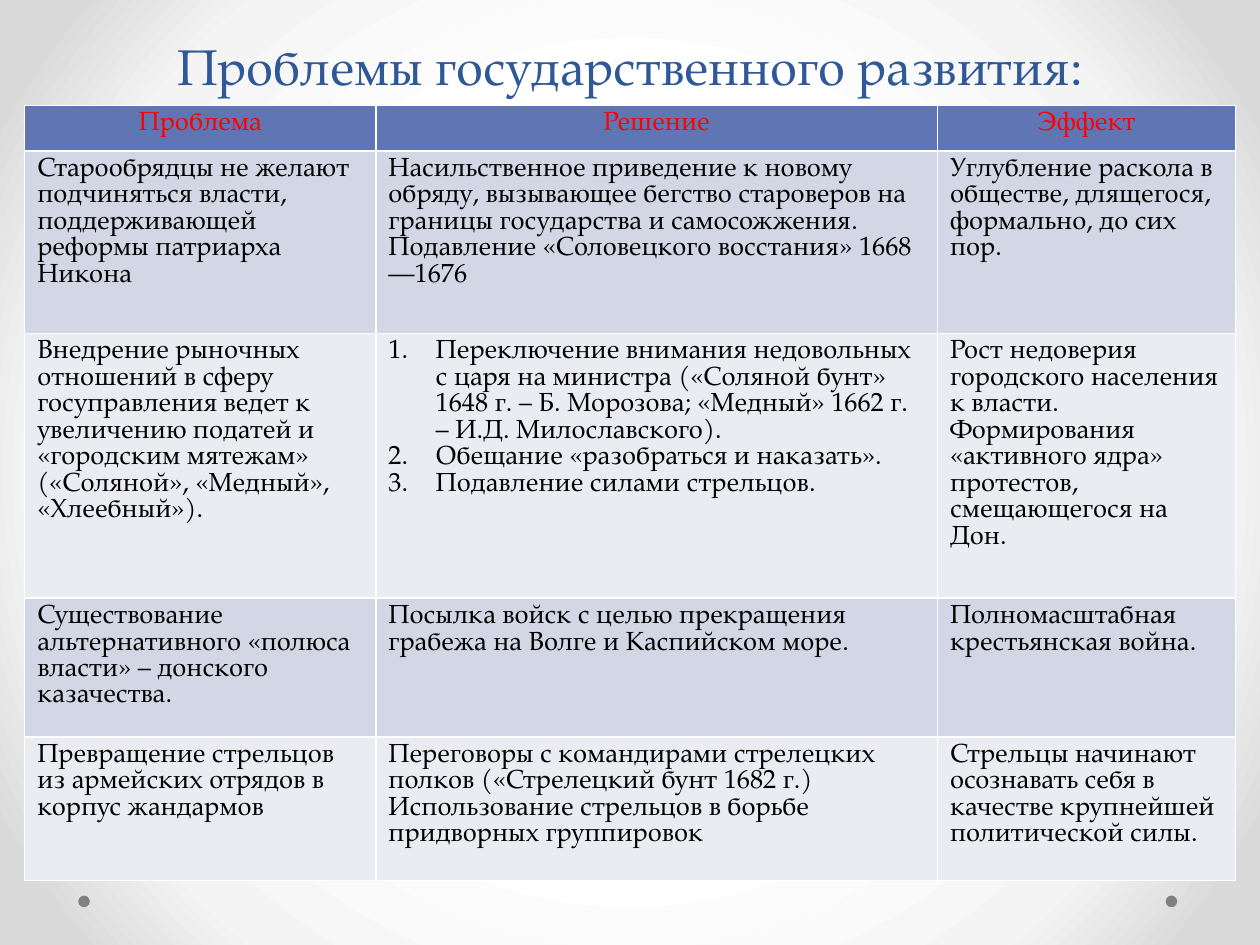
from lxml import etree
from pptx import Presentation
from pptx.dml.color import RGBColor
from pptx.enum import shapes, text
from pptx.oxml import parse_xml
from pptx.oxml.ns import nsdecls
from pptx.util import Pt

FONT = "TeX Gyre Pagella"
TITLE_BLUE = RGBColor(0x2F, 0x58, 0x97)
HEADER_BLUE = RGBColor(0x60, 0x76, 0xB4)
BAND_DARK = RGBColor(0xD2, 0xD6, 0xE5)
BAND_LIGHT = RGBColor(0xEA, 0xEC, 0xF2)
RED = RGBColor(0xFF, 0, 0)
BLACK = RGBColor(0, 0, 0)
WHITE = RGBColor(0xFF, 0xFF, 0xFF)
DOT_GRAY = RGBColor(0x80, 0x80, 0x80)
BACKDROP_STOPS = [(50, WHITE), (76, RGBColor(0xF4, 0xF4, 0xF4)),
                  (92, RGBColor(0xDA, 0xDA, 0xDA))]

COLUMN_WIDTHS = [200.7, 320.9, 170.4]
ROW_HEIGHTS = [26, 104.4, 147.4, 70, 82]
HEADINGS = ["Проблема", "Решение", "Эффект"]
# Each cell is a list of paragraphs
ISSUES = [
    [["Старообрядцы не желают подчиняться власти, поддерживающей реформы "
      "патриарха Никона"],
     ["Насильственное приведение к новому обряду, вызывающее бегство староверов "
      "на границы государства и самосожжения. Подавление «Соловецкого "
      "восстания» 1668—1676"],
     ["Углубление раскола в обществе, длящегося, формально, до сих пор."]],
    [["Внедрение рыночных отношений в сферу госуправления ведет к увеличению "
      "податей и «городским мятежам» («Соляной», «Медный», «Хлеебный»)."],
     ["Переключение внимания недовольных с царя на министра («Соляной бунт» "
      "1648 г. – Б. Морозова; «Медный» 1662 г. – И.Д. Милославского).",
      "Обещание «разобраться и наказать».",
      "Подавление силами стрельцов."],
     ["Рост недоверия городского населения к власти.",
      "Формирования «активного ядра» протестов, смещающегося на Дон."]],
    [["Существование альтернативного «полюса власти» – донского казачества."],
     ["Посылка войск с целью прекращения грабежа на Волге и Каспийском море."],
     ["Полномасштабная крестьянская война."]],
    [["Превращение стрельцов из армейских отрядов в корпус жандармов"],
     ["Переговоры с командирами стрелецких полков («Стрелецкий бунт 1682 г.)",
      "Использование стрельцов в борьбе придворных группировок"],
     ["Стрельцы начинают осознавать себя в качестве крупнейшей политической "
      "силы."]],
]
NUMBERED_CELL = (2, 1)


def paint_backdrop(slide):
    slide.background.fill.solid()
    properties = slide._element.cSld.bg.bgPr
    stops = "".join(
        f'<a:gs pos="{position * 1000}"><a:srgbClr val="{color}"/></a:gs>'
        for position, color in BACKDROP_STOPS)
    gradient = parse_xml(
        f'<a:gradFill {nsdecls("a")} rotWithShape="1"><a:gsLst>{stops}</a:gsLst>'
        '<a:path path="circle"><a:fillToRect l="50000" t="50000" r="50000" '
        'b="50000"/></a:path></a:gradFill>')
    properties.replace(properties[0], gradient)


def add_dots(slide, left, top, width, size):
    for x in (left, left + width - size):
        dot = slide.shapes.add_shape(shapes.MSO_SHAPE.OVAL, Pt(x), Pt(top),
                                     Pt(size), Pt(size))
        dot.shadow.inherit = False
        dot.fill.solid()
        dot.fill.fore_color.rgb = DOT_GRAY
        dot.line.fill.background()


def add_run(paragraph, wording, size, color):
    run = paragraph.add_run()
    run.text = wording
    run.font.name = FONT
    run.font.size = Pt(size)
    run.font.bold = False
    run.font.color.rgb = color


def add_title(slide, left, top, width, height):
    title = slide.shapes.add_textbox(Pt(left), Pt(top), Pt(width), Pt(height))
    frame = title.text_frame
    frame.word_wrap = True
    frame.vertical_anchor = text.MSO_ANCHOR.BOTTOM
    frame.margin_bottom = 0
    heading = frame.paragraphs[0]
    heading.alignment = text.PP_ALIGN.CENTER
    heading.line_spacing = Pt(58)
    add_run(heading, "Проблемы государственного развития:", 28.8, TITLE_BLUE)


def number_paragraph(paragraph):
    properties = paragraph._p.get_or_add_pPr()
    properties.set("marL", str(Pt(27)))
    properties.set("indent", str(-Pt(27)))
    properties.append(parse_xml(
        f'<a:buAutoNum {nsdecls("a")} type="arabicPeriod"/>'))


def border_cell(cell):
    properties = cell._tc.get_or_add_tcPr()
    for index, side in enumerate(("lnL", "lnR", "lnT", "lnB")):
        properties.insert(index, parse_xml(
            f'<a:{side} {nsdecls("a")} w="{Pt(1)}"><a:solidFill>'
            f'<a:srgbClr val="{WHITE}"/></a:solidFill></a:{side}>'))


def fill_cell(cell, paragraphs, fill, color, centered=False, numbered=False):
    cell.fill.solid()
    cell.fill.fore_color.rgb = fill
    border_cell(cell)
    frame = cell.text_frame
    for index, wording in enumerate(paragraphs):
        paragraph = frame.add_paragraph() if index else frame.paragraphs[0]
        if centered:
            paragraph.alignment = text.PP_ALIGN.CENTER
        if numbered:
            number_paragraph(paragraph)
        add_run(paragraph, wording, 15, color)


def add_issue_table(slide, left, top):
    table = slide.shapes.add_table(
        len(ROW_HEIGHTS), len(COLUMN_WIDTHS), Pt(left), Pt(top),
        Pt(sum(COLUMN_WIDTHS)), Pt(sum(ROW_HEIGHTS))).table
    for column, width in zip(table.columns, COLUMN_WIDTHS):
        column.width = Pt(width)
    for row, height in zip(table.rows, ROW_HEIGHTS):
        row.height = Pt(height)
    # Header row
    for column, heading in enumerate(HEADINGS):
        fill_cell(table.cell(0, column), [heading], HEADER_BLUE, RED, centered=True)
    # Banded body rows
    for row, issue in enumerate(ISSUES, start=1):
        band = BAND_DARK if row % 2 else BAND_LIGHT
        for column, paragraphs in enumerate(issue):
            fill_cell(table.cell(row, column), paragraphs, band, BLACK,
                      numbered=(row, column) == NUMBERED_CELL)


def main():
    deck = Presentation()
    deck.slide_width, deck.slide_height = Pt(720), Pt(540)
    slide = deck.slides.add_slide(deck.slide_layouts[6])
    paint_backdrop(slide)
    add_dots(slide, left=44.7, top=511.8, width=628, size=6.6)
    add_title(slide, left=36, top=9.4, width=648, height=45.4)
    add_issue_table(slide, left=14.1, top=60.2)
    deck.save("out.pptx")


if __name__ == "__main__":
    main()
